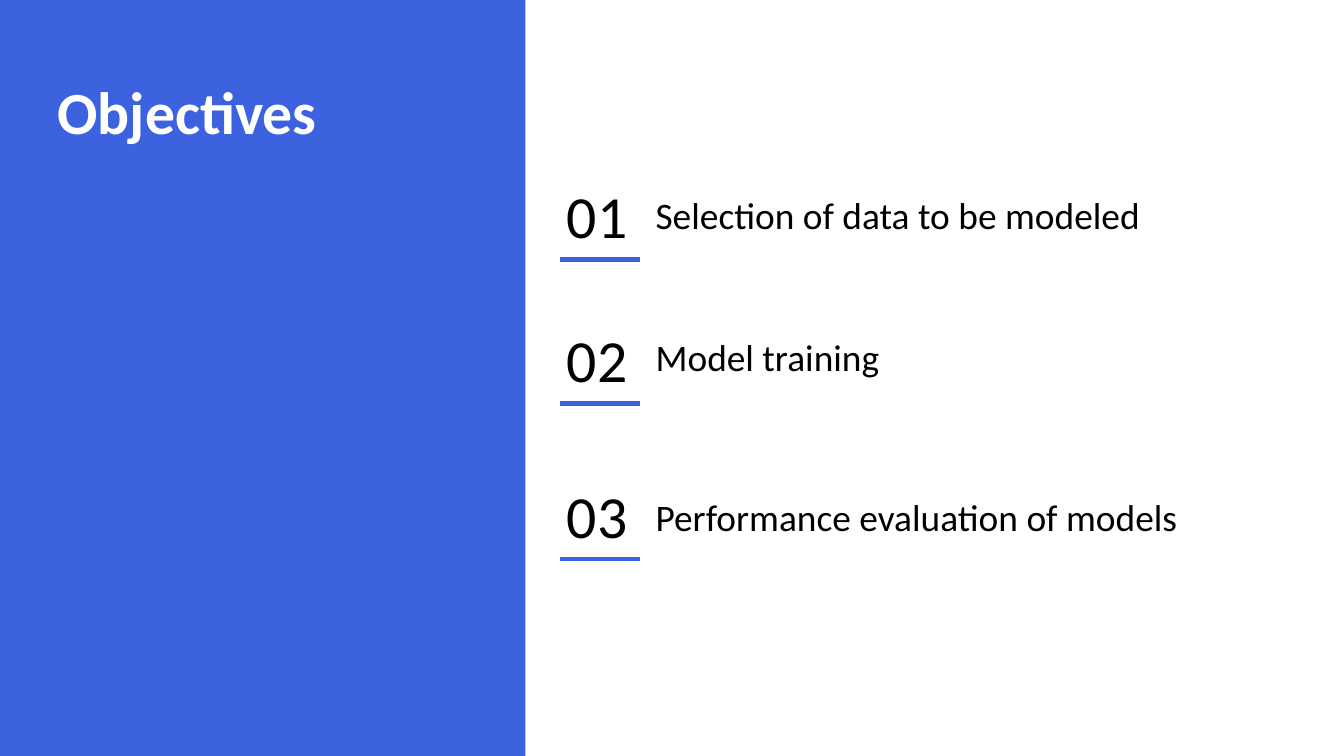
from lxml import etree
from pptx import Presentation
from pptx import util as u
from pptx.dml.color import RGBColor
from pptx.enum import shapes, text
from pptx.oxml.ns import qn

BLUE, WHITE, BLACK = "3C62E0", "FFFFFF", "000000"


def color(value):
    """Turn a hex string into a colour."""
    return RGBColor.from_string(value)


def add_text(words, left, top, width, height, size, ink, inset=0.05, bold=False):
    """Add a one-paragraph text box and return its paragraph."""
    box = slide.shapes.add_textbox(
        u.Inches(left), u.Inches(top), u.Inches(width), u.Inches(height))
    frame = box.text_frame
    frame.word_wrap = True
    frame.margin_top = frame.margin_bottom = u.Inches(inset)
    para = frame.paragraphs[0]
    para.text = words
    font = para.runs[0].font
    font.name, font.size, font.bold = "Calibri", u.Pt(size), bold
    font.color.rgb = color(ink)
    return para


# Widescreen, 16 to 9
deck = Presentation()
deck.slide_width = u.Inches(10)
deck.slide_height = deck.slide_width * 9 // 16
slide = deck.slides.add_slide(deck.slide_layouts[6])

panel = slide.shapes.add_shape(
    shapes.MSO_SHAPE.RECTANGLE, 0, 0, u.Inches(3.91), deck.slide_height)
panel.shadow.inherit = False
panel.fill.solid()
panel.fill.fore_color.rgb = color(BLUE)
panel.line.fill.background()

add_text("Objectives", 0.33, 0.51, 2.18, 0.64, 32, WHITE, bold=True)

# Each objective: top of its number, top and height of its text, alignment
objectives = [
    ("Selection of data to be modeled", 1.28, 1.33, 0.56, text.PP_ALIGN.JUSTIFY),
    ("Model training", 2.35, 2.39, 0.63, text.PP_ALIGN.JUSTIFY),
    ("Performance evaluation of models", 3.51, 3.58, 0.86, text.PP_ALIGN.LEFT),
]
for number, (words, top, text_top, height, align) in enumerate(objectives, 1):
    add_text(f"{number:02}", 4.12, top, 0.66, 0.64, 32, BLACK)

    rule_y = u.Inches(top + 0.65)
    rule = slide.shapes.add_connector(
        shapes.MSO_CONNECTOR.STRAIGHT, u.Inches(4.17), rule_y, u.Inches(4.76), rule_y)
    rule.line.color.rgb = color(BLUE)
    rule.line.width = u.Pt(2.5)
    etree.SubElement(rule._element.spPr, qn("a:effectLst"))

    para = add_text(words, 4.78, text_top, 4.9, height, 20, BLACK, inset=0.1)
    para.alignment = align

deck.save("out.pptx")
